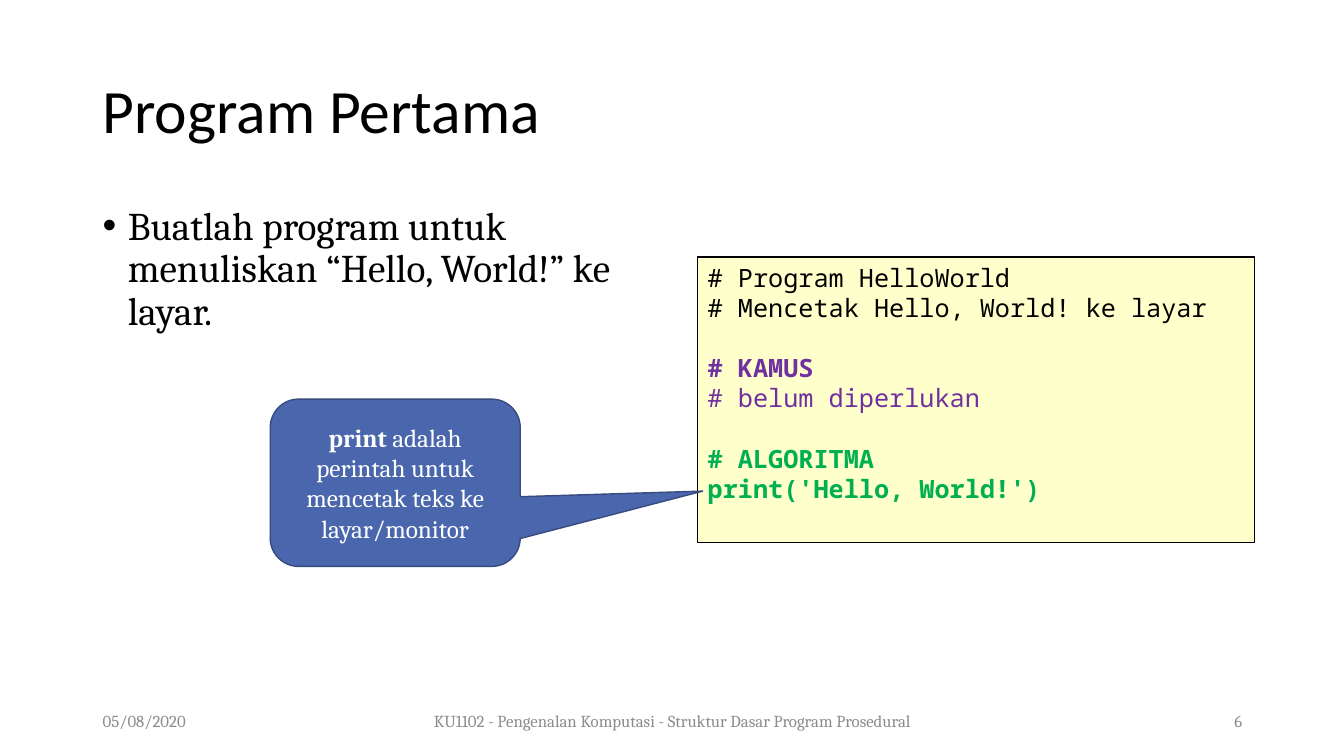
from lxml.etree import SubElement
from pptx import Presentation
from pptx.dml.color import RGBColor
from pptx.enum.shapes import MSO_SHAPE
from pptx.enum.text import MSO_ANCHOR, PP_ALIGN
from pptx.oxml.ns import qn
from pptx.util import Pt

SCALE = 9144
BLACK = RGBColor(0x00, 0x00, 0x00)
WHITE = RGBColor(0xFF, 0xFF, 0xFF)
GRAY = RGBColor(0x8C, 0x8C, 0x8C)
CREAM = RGBColor(0xFF, 0xFF, 0xCC)
BLUE = RGBColor(0x4A, 0x66, 0xAC)
NAVY = RGBColor(0x37, 0x4B, 0x7F)
PURPLE = RGBColor(0x70, 0x30, 0xA0)
GREEN = RGBColor(0x00, 0xB0, 0x50)
HEAD = "Calibri"
BODY = "Cambria"
MONO = "Noto Sans Mono"


class Deck:
    def __init__(self, width, height):
        self.file = Presentation()
        self.file.slide_width = width * SCALE
        self.file.slide_height = height * SCALE
        self.slide = self.file.slides.add_slide(self.file.slide_layouts[6])

    def style(self, para, face, size, color, align=PP_ALIGN.LEFT):
        para.alignment = align
        para.font.name = face
        para.font.size = Pt(size)
        para.font.color.rgb = color

    def text(self, box, words, face, size, color,
             align=PP_ALIGN.LEFT, anchor=MSO_ANCHOR.MIDDLE):
        shape = self.slide.shapes.add_textbox(*(n * SCALE for n in box))
        frame = shape.text_frame
        frame.word_wrap = True
        frame.vertical_anchor = anchor
        para = frame.paragraphs[0]
        para.text = words
        self.style(para, face, size, color, align)
        return para

    def title(self, box, words):
        self.text(box, words, HEAD, 44, BLACK).line_spacing = 0.9

    def bullet(self, box, words):
        para = self.text(box, words, BODY, 28, BLACK, anchor=MSO_ANCHOR.TOP)
        para.line_spacing = 0.9
        para.space_before = Pt(10)
        props = para._p.get_or_add_pPr()
        props.set("marL", str(25 * SCALE))
        props.set("indent", str(-25 * SCALE))
        font = props.find(qn("a:defRPr"))
        face = SubElement(props, qn("a:buFont"), typeface="Arial")
        mark = SubElement(props, qn("a:buChar"), char="•")
        font.addprevious(face)
        font.addprevious(mark)

    def shape(self, kind, box, fill, line, anchor):
        shape = self.slide.shapes.add_shape(kind, *(n * SCALE for n in box))
        shape.shadow.inherit = False
        shape.fill.solid()
        shape.fill.fore_color.rgb = fill
        shape.line.color.rgb = line
        shape.line.width = Pt(1)
        shape.text_frame.word_wrap = True
        shape.text_frame.vertical_anchor = anchor
        return shape

    def code(self, box, blocks):
        frame = self.shape(MSO_SHAPE.RECTANGLE, box, CREAM, BLACK,
                           MSO_ANCHOR.TOP).text_frame
        para = frame.paragraphs[0]
        for color, lines in blocks:
            for row, (words, bold) in enumerate(lines):
                if para.text:
                    para = frame.add_paragraph()
                    para.space_before = Pt(0 if row else 21.5)
                para.text = words
                self.style(para, MONO, 18, color)
                para.font.bold = bold

    def callout(self, box, tip, parts):
        shape = self.shape(MSO_SHAPE.ROUNDED_RECTANGULAR_CALLOUT, box,
                           BLUE, NAVY, MSO_ANCHOR.MIDDLE)
        for index, value in enumerate(tip):
            shape.adjustments[index] = value
        para = shape.text_frame.paragraphs[0]
        self.style(para, BODY, 18, WHITE, PP_ALIGN.CENTER)
        for words, bold in parts:
            run = para.add_run()
            run.text = words
            run.font.bold = bold

    def footer(self, parts):
        left = 92
        for width, words, align in parts:
            self.text((left, 695, width, 40), words, BODY, 12, GRAY, align)
            left += width


def main():
    deck = Deck(1333, 750)
    deck.title((92, 40, 1150, 145), "Program Pertama")
    deck.bullet((92, 200, 563, 476),
                "Buatlah program untuk menuliskan “Hello, World!” ke layar.")
    deck.footer([
        (300, "05/08/2020", PP_ALIGN.LEFT),
        (550, "KU1102 - Pengenalan Komputasi - Struktur Dasar Program Prosedural",
         PP_ALIGN.CENTER),
        (300, "6", PP_ALIGN.RIGHT),
    ])
    deck.code((692, 255, 552, 283), [
        (BLACK, [("# Program HelloWorld", False),
                 ("# Mencetak Hello, World! ke layar", False)]),
        (PURPLE, [("# KAMUS", True), ("# belum diperlukan", False)]),
        (GREEN, [("# ALGORITMA", True), ("print('Hello, World!')", True)]),
    ])
    deck.callout((268, 396, 248, 166), (1.23, 0.05, 0.17), [
        ("print ", True),
        ("adalah perintah untuk mencetak teks ke layar/monitor", False),
    ])
    deck.file.save("out.pptx")


if __name__ == "__main__":
    main()
